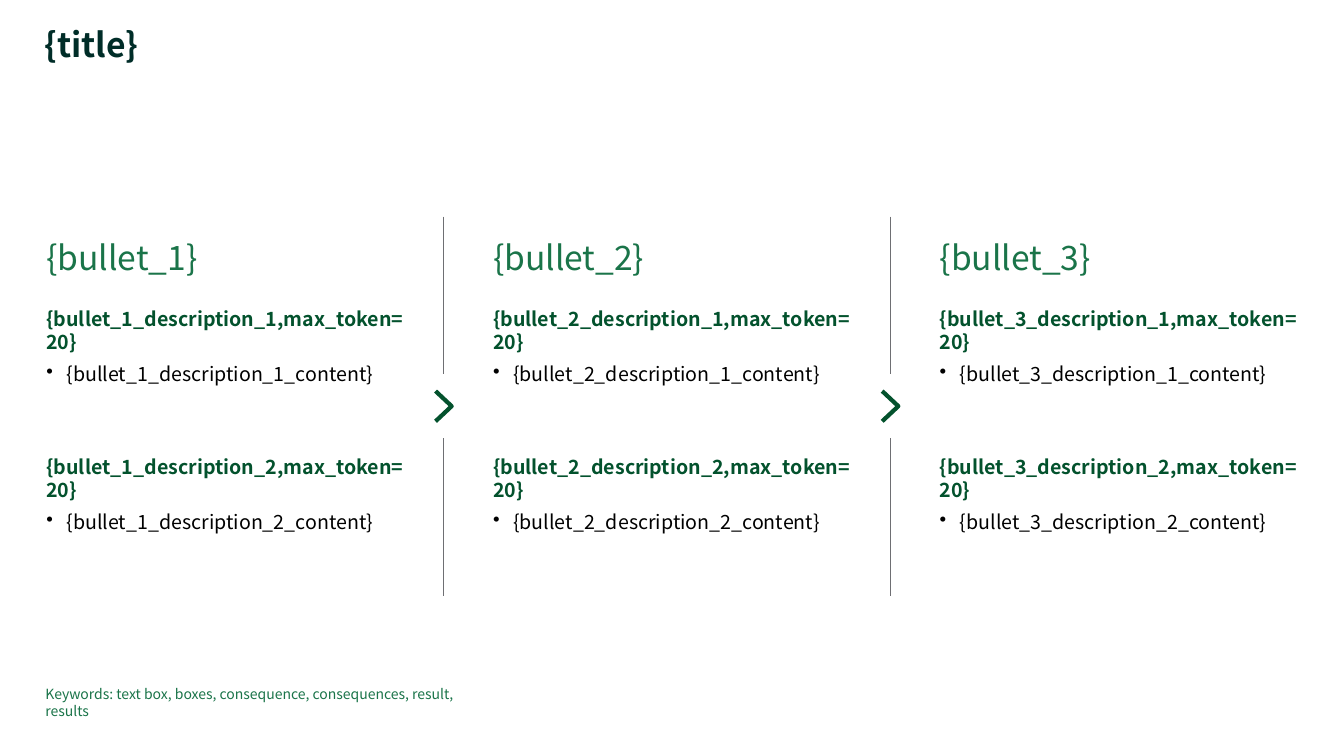
import pptx
import pptx.dml.color
import pptx.enum.shapes
import pptx.enum.text
import pptx.oxml.ns
import pptx.util
from lxml import etree

PX = 9144
FONT = "Noto Sans CJK JP"
INK = pptx.dml.color.RGBColor(0x00, 0x2D, 0x28)
DARK_GREEN = pptx.dml.color.RGBColor(0x03, 0x52, 0x2D)
GREEN = pptx.dml.color.RGBColor(0x1A, 0x74, 0x49)
GREY = pptx.dml.color.RGBColor(0x6E, 0x6F, 0x73)
BLACK = pptx.dml.color.RGBColor(0, 0, 0)
COLUMNS = 3
PITCH = 443


def px(n):
    """Turn px into EMU."""
    return pptx.util.Emu(n * PX)


def prepare_frame(tf):
    """Remove the insets of a text frame and anchor it at the top."""
    tf.margin_left = tf.margin_top = tf.margin_right = tf.margin_bottom = 0
    tf.word_wrap = True
    tf.vertical_anchor = pptx.enum.text.MSO_ANCHOR.TOP
    tf.auto_size = pptx.enum.text.MSO_AUTO_SIZE.SHAPE_TO_FIT_TEXT


def write(p, text, size, color, bold=False, after=6):
    """Fill and format a left-aligned paragraph."""
    p.text = text
    p.alignment = pptx.enum.text.PP_ALIGN.LEFT
    p.space_after = pptx.util.Pt(after)
    font = p.runs[0].font
    font.name, font.size, font.bold = FONT, pptx.util.Pt(size), bold
    font.color.rgb = color


def add_bullet(p):
    """Give a paragraph a black bullet with a hanging indent."""
    p.level = 1
    pPr = p._p.get_or_add_pPr()
    pPr.set("marL", str(px(20)))
    pPr.set("indent", str(px(-20)))
    clr = etree.SubElement(pPr, pptx.oxml.ns.qn("a:buClr"))
    etree.SubElement(clr, pptx.oxml.ns.qn("a:srgbClr"), val=str(BLACK))
    etree.SubElement(pPr, pptx.oxml.ns.qn("a:buChar"), char="•")


def add_text(slide, x, y, w, h, *style):
    """Add a text box with one paragraph and return its text frame."""
    tf = slide.shapes.add_textbox(px(x), px(y), px(w), px(h)).text_frame
    prepare_frame(tf)
    write(tf.paragraphs[0], *style)
    return tf


def add_title(slide, x, y, w, h):
    """Place and format the title."""
    title = slide.shapes.title
    title.left, title.top, title.width, title.height = map(px, (x, y, w, h))
    tf = title.text_frame
    prepare_frame(tf)
    p = tf.paragraphs[0]
    write(p, "{title}", 24, INK, True, 0)
    p.line_spacing = 0.9


def add_column(slide, number, x, y, w):
    """Add a heading and two described bullets."""
    name = f"bullet_{number}"
    add_text(slide, x, y, w, 40, f"{{{name}}}", 24, GREEN)
    for i in (1, 2):
        item = f"{name}_description_{i}"
        tf = add_text(slide, x, y + 69 + 147 * (i - 1), w, 79,
                      f"{{{item},max_token=20}}", 14, DARK_GREEN, True)
        p = tf.add_paragraph()
        add_bullet(p)
        write(p, f"{{{item}_content}}", 14, BLACK)


def add_divider(slide, x, y, h):
    """Add a vertical rule broken by a chevron at its middle."""
    middle = y + h // 2
    for top, bottom in ((y, middle - 32), (middle + 32, y + h)):
        line = slide.shapes.add_connector(
            pptx.enum.shapes.MSO_CONNECTOR.STRAIGHT, px(x), px(top), px(x), px(bottom))
        line.line.color.rgb = GREY
        line.line.width = pptx.util.Pt(0.75)
        etree.SubElement(line._element.spPr, pptx.oxml.ns.qn("a:effectLst"))
    outline = slide.shapes.build_freeform(x - 8, middle - 15, scale=PX)
    outline.add_line_segments([(x + 8, middle), (x - 8, middle + 15)], close=False)
    chevron = outline.convert_to_shape()
    chevron.shadow.inherit = False
    chevron.fill.background()
    chevron.line.color.rgb = DARK_GREEN
    chevron.line.width = pptx.util.Pt(3)


def main():
    """Build and save the slide."""
    prs = pptx.Presentation()
    prs.slide_width, prs.slide_height = px(1333), px(750)
    slide = prs.slides.add_slide(prs.slide_layouts.get_by_name("Title Only"))
    add_title(slide, 44, 28, 1103, 37)
    for i in range(COLUMNS):
        add_column(slide, i + 1, 46 + i * PITCH, 235, 360)
    for i in range(COLUMNS - 1):
        add_divider(slide, 440 + i * PITCH, 215, 376)
    add_text(slide, 45, 680, 441, 17,
             "Keywords: text box, boxes, consequence, consequences, result, results",
             10, GREEN, False, 1.1)
    prs.save("out.pptx")


if __name__ == "__main__":
    main()
